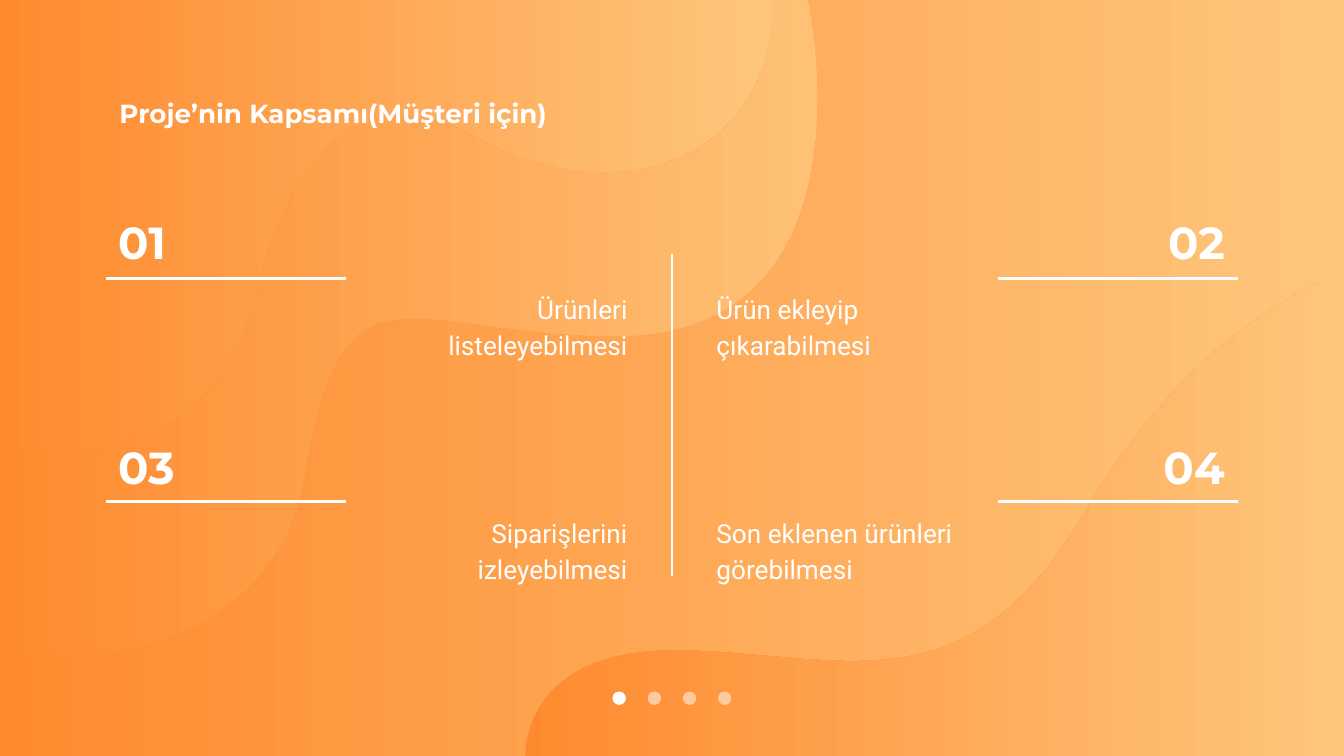
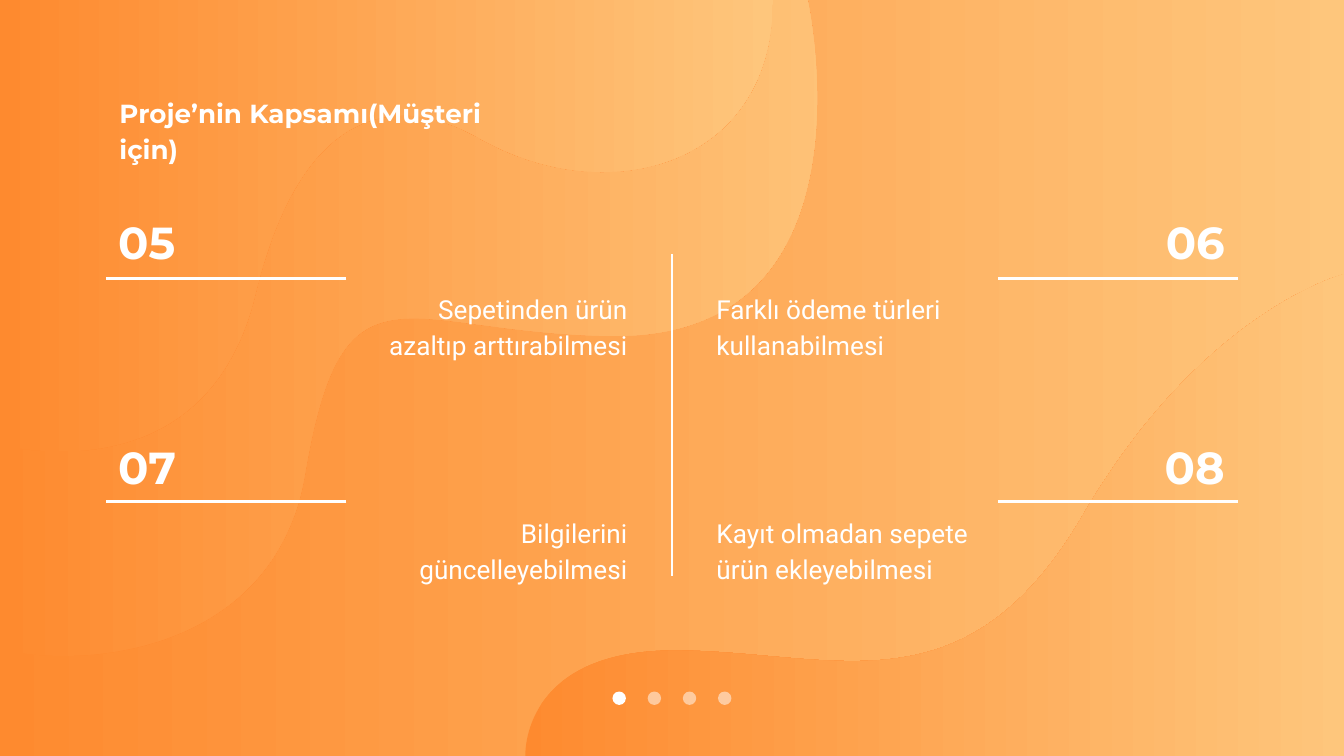
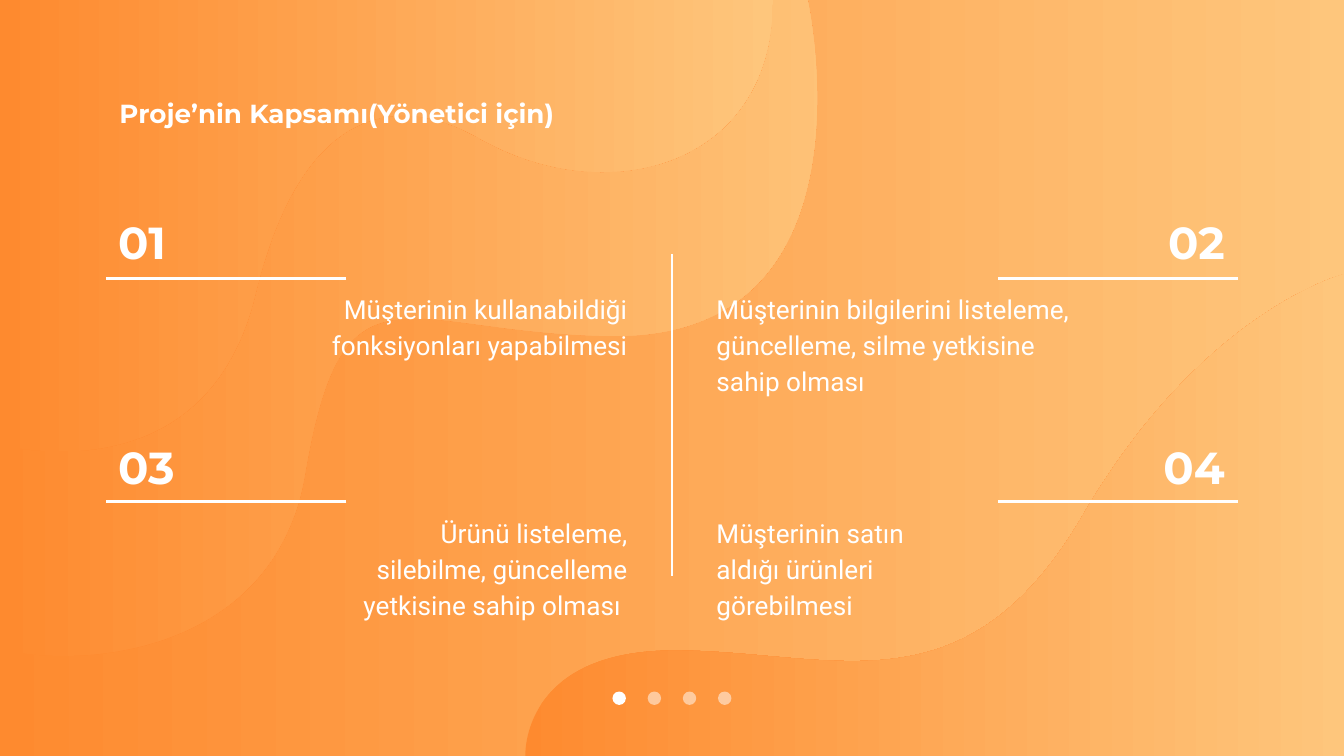
from dataclasses import dataclass

from lxml import etree
from pptx import Presentation
from pptx import util as u
from pptx.dml import color
from pptx.enum import shapes, text
from pptx.oxml import ns

Pt = u.Pt


@dataclass(frozen=True)
class Theme:
    white: str = "FFFFFF"
    gradient: tuple = ("FE8A2F", "FEC67C")
    heading_font: str = "Montserrat"
    body_font: str = "Roboto"
    body_size: int = 14
    number_size: int = 24
    line_width: float = 1.5


THEME = Theme()
WIDTH, HEIGHT = 720, 405

SCOPES = [
    {
        "title": "Proje’nin Kapsamı(Müşteri için)",
        "title_size": (258, 75),
        "first_number": 1,
        "items": [
            ("Ürünleri listeleyebilmesi", 157.7, 51),
            ("Ürün ekleyip çıkarabilmesi", 151.2, 51),
            ("Siparişlerini izleyebilmesi", 157.7, 51),
            ("Son eklenen ürünleri görebilmesi", 151.2, 51),
        ],
    },
    {
        "title": "Proje’nin Kapsamı(Müşteri için)",
        "title_size": (240.5, 65),
        "first_number": 5,
        "items": [
            ("Sepetinden ürün azaltıp arttırabilmesi", 157.7, 74),
            ("Farklı ödeme türleri kullanabilmesi", 151.2, 68),
            ("Bilgilerini güncelleyebilmesi", 175.7, 51),
            ("Kayıt olmadan sepete ürün ekleyebilmesi", 162, 69),
        ],
    },
    {
        "title": "Proje’nin Kapsamı(Yönetici için)",
        "title_size": (258, 75),
        "first_number": 1,
        "items": [
            ("Müşterinin kullanabildiği fonksiyonları yapabilmesi", 189.4, 51),
            ("Müşterinin bilgilerini listeleme, güncelleme, silme yetkisine sahip olması", 205.2, 68),
            ("Ürünü listeleme, silebilme, güncelleme yetkisine sahip olması ", 157.7, 69),
            ("Müşterinin satın aldığı ürünleri görebilmesi", 151.2, 73),
        ],
    },
]

WAVES = [
    [
        (0, 0),
        (0, 347.8),
        (9.4, 349.9, 20.9, 351.4, 33.8, 351.4),
        (83.5, 351.4, 150.5, 329.8, 163.4, 254.2),
        (175, 185.8, 190.1, 170.6, 221.8, 170.6),
        (245.5, 170.6, 278.6, 179.3, 326.9, 180),
        (327.6, 180, 328.3, 180, 329.8, 180),
        (472.3, 180, 432.7, 0, 432.7, 0),
    ],
    [
        (414, 0),
        (0, 0),
        (0, 238.3),
        (0, 238.3, 13.7, 241.9, 32.4, 241.9),
        (67.7, 241.9, 119.5, 229, 136.8, 157.7),
        (154.8, 83.5, 186.5, 61.9, 216, 61.9),
        (230.4, 61.9, 244.1, 67, 255.6, 73.4),
        (277.2, 85.7, 300.2, 92.2, 322.6, 92.2),
        (371.5, 92.2, 414, 61.9, 414, 0),
    ],
    [
        (720, 146.9),
        (720, 146.9, 644.4, 166.3, 580.3, 275.8),
        (542.2, 341.3, 501.1, 354.2, 456.5, 354.2),
        (426.2, 354.2, 394.6, 348.5, 361.4, 348.5),
        (278.6, 348.5, 281.5, 405, 281.5, 405),
        (720, 405),
        (720, 146.9),
    ],
]

MARGIN = 56.8
TITLE_TOP = 42.5
ROW_PITCH = 120.1
NUMBER_LEFT, NUMBER_TOP, NUMBER_WIDTH, NUMBER_HEIGHT = 56.2, 107.3, 80.6, 44
RULE_TOP, RULE_PITCH, RULE_WIDTH = 149.1, 119.5, 128.8
ITEM_TOP, ITEM_GAP = 147.6, 16.75
DIVIDER_TOP, DIVIDER_BOTTOM = 136, 308.8
DOT_COUNT, DOT_SIZE, DOT_PITCH, DOT_TOP = 4, 7.2, 18.85, 370.5
INSET = 7.2


def rgb(value):
    return color.RGBColor.from_string(value)


def fill_gradient(fill):
    fill.gradient()
    fill.gradient_angle = 0
    for stop, value in zip(fill.gradient_stops, THEME.gradient):
        stop.color.rgb = rgb(value)


def bend_segments(wave, segments):
    outline = wave.element.spPr.find(".//" + ns.qn("a:path"))
    lines = iter(outline.findall(ns.qn("a:lnTo")))
    for segment in segments[1:]:
        line = next(lines)
        if len(segment) == 6:
            curve = etree.Element(ns.qn("a:cubicBezTo"))
            line.addprevious(curve)
            for part in (line, next(lines), next(lines)):
                curve.append(part[0])
                outline.remove(part)


def add_wave(slide, segments):
    points = [
        (Pt(segment[index]), Pt(segment[index + 1]))
        for segment in segments
        for index in range(0, len(segment), 2)
    ]
    builder = slide.shapes.build_freeform(*points[0])
    builder.add_line_segments(points[1:], close=True)
    wave = builder.convert_to_shape()
    bend_segments(wave, segments)
    wave.shadow.inherit = False
    fill_gradient(wave.fill)
    wave.line.fill.background()
    return wave


def add_backdrop(layout, slide):
    fill_gradient(layout.background.fill)
    for index, segments in enumerate(WAVES):
        wave = add_wave(slide, segments)
        wave.name = f"Wave {index + 1}"
        wave.element.nvSpPr.cNvPr.set("id", str(20 + index))
        layout.shapes.element.append(wave.element)


def write(shape, content, font, size, bold=False, right=False, bottom=False, flowing=True):
    frame = shape.text_frame
    frame.text = content
    frame.word_wrap = True
    frame.auto_size = text.MSO_AUTO_SIZE.NONE
    frame.vertical_anchor = text.MSO_ANCHOR.BOTTOM if bottom else text.MSO_ANCHOR.TOP
    frame.margin_left = frame.margin_right = Pt(INSET)
    frame.margin_top = frame.margin_bottom = Pt(INSET)
    paragraph = frame.paragraphs[0]
    paragraph.alignment = text.PP_ALIGN.RIGHT if right else text.PP_ALIGN.LEFT
    if flowing:
        paragraph.line_spacing = 1.15
        paragraph.space_after = Pt(16)
    for run in paragraph.runs:
        run.font.name = font
        run.font.size = Pt(size)
        run.font.bold = bold
        run.font.color.rgb = rgb(THEME.white)


def add_title(slide, content, size):
    title = slide.shapes.title
    title.left, title.top = Pt(MARGIN), Pt(TITLE_TOP)
    title.width, title.height = map(Pt, size)
    write(title, content, THEME.heading_font, THEME.body_size, bold=True)


def add_line(slide, start, end):
    line = slide.shapes.add_connector(
        shapes.MSO_CONNECTOR.STRAIGHT, *map(Pt, (*start, *end)))
    line.line.color.rgb = rgb(THEME.white)
    line.line.width = Pt(THEME.line_width)
    etree.SubElement(line.element.spPr, ns.qn("a:effectLst"))


def add_item(slide, position, number, item):
    row, column = divmod(position, 2)
    on_right = column == 1
    shift = row * ROW_PITCH
    content, width, height = item

    left = WIDTH / 2 + ITEM_GAP if on_right else WIDTH / 2 - ITEM_GAP - width
    description = slide.shapes.add_textbox(
        *map(Pt, (left, ITEM_TOP + shift, width, height)))
    write(description, content, THEME.body_font, THEME.body_size, right=not on_right)

    rule_start = WIDTH - MARGIN if on_right else MARGIN + RULE_WIDTH
    rule_top = RULE_TOP + row * RULE_PITCH
    add_line(slide, (rule_start, rule_top), (rule_start - RULE_WIDTH, rule_top))

    left = WIDTH - MARGIN - NUMBER_WIDTH if on_right else NUMBER_LEFT
    label = slide.shapes.add_textbox(
        *map(Pt, (left, NUMBER_TOP + shift, NUMBER_WIDTH, NUMBER_HEIGHT)))
    write(label, f"{number:02d}", THEME.heading_font, THEME.number_size,
          bold=True, right=on_right, bottom=True, flowing=False)


def add_dots(slide):
    group = slide.shapes.add_group_shape()
    first_left = (WIDTH - DOT_SIZE - (DOT_COUNT - 1) * DOT_PITCH) / 2
    for index in range(DOT_COUNT):
        dot = group.shapes.add_shape(
            shapes.MSO_SHAPE.OVAL,
            *map(Pt, (first_left + index * DOT_PITCH, DOT_TOP, DOT_SIZE, DOT_SIZE)))
        dot.shadow.inherit = False
        dot.fill.solid()
        dot.fill.fore_color.rgb = rgb(THEME.white)
        dot.line.fill.background()
        if index > 0:
            tint = dot.element.spPr.find(".//" + ns.qn("a:srgbClr"))
            etree.SubElement(tint, ns.qn("a:alpha"), val="50000")


def main():
    presentation = Presentation()
    presentation.slide_width, presentation.slide_height = Pt(WIDTH), Pt(HEIGHT)
    layout = presentation.slide_layouts[5]
    slides = [presentation.slides.add_slide(layout) for _ in SCOPES]
    add_backdrop(layout, slides[0])
    for slide, scope in zip(slides, SCOPES):
        add_title(slide, scope["title"], scope["title_size"])
        for position, item in enumerate(scope["items"]):
            add_item(slide, position, scope["first_number"] + position, item)
        add_line(slide, (WIDTH / 2, DIVIDER_TOP), (WIDTH / 2, DIVIDER_BOTTOM))
        add_dots(slide)
    presentation.save("out.pptx")


if __name__ == "__main__":
    main()
